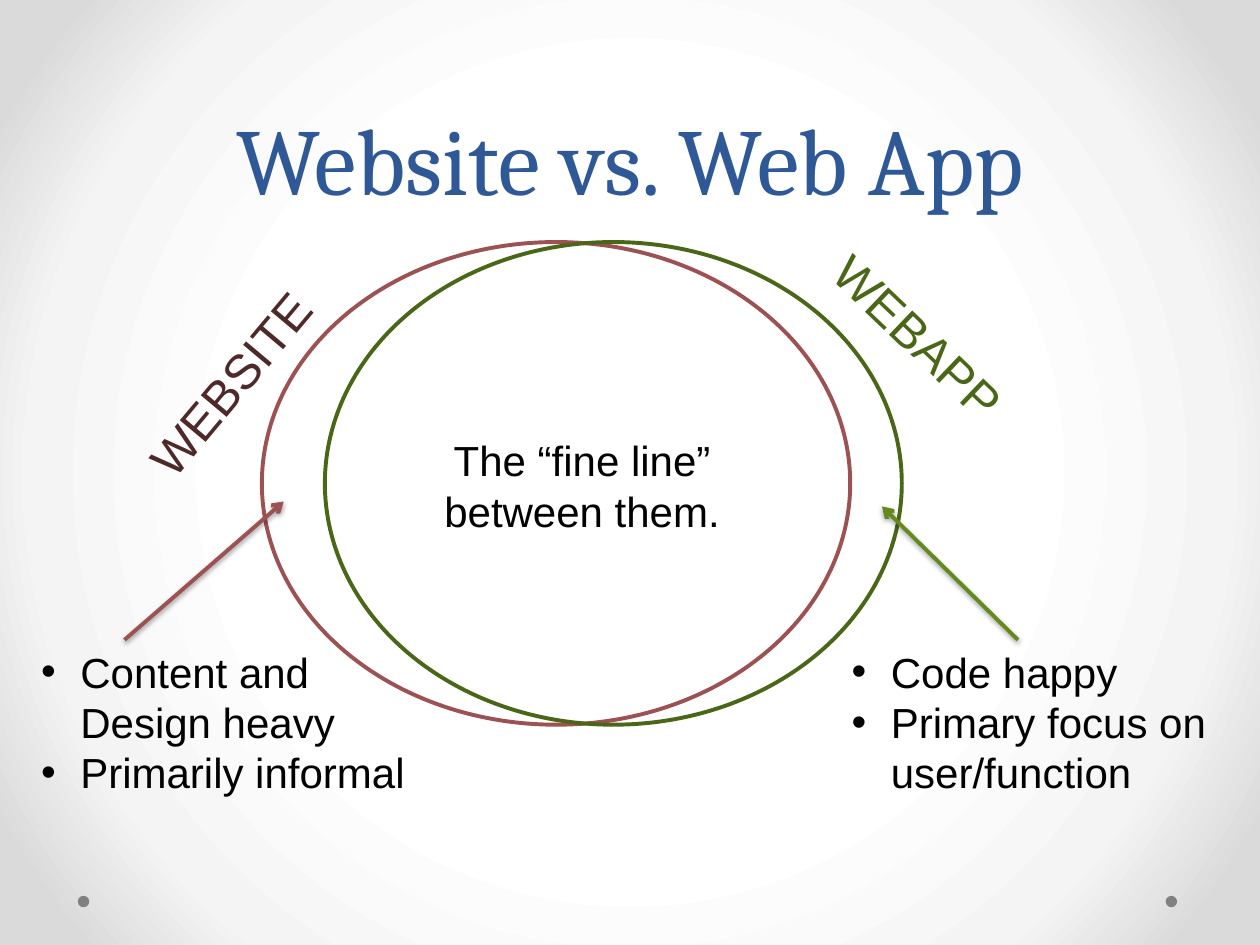
from pptx import Presentation
from pptx import util as u
from pptx.dml import color
from pptx.enum import shapes, text
from pptx.oxml import parse_xml
from pptx.oxml.ns import nsdecls, qn

BLACK = "000000"
ROSE, DARK_ROSE = "9C5252", "4E2929"
GREEN, DARK_GREEN = "63891F", "4A6717"


def rgb(value):
    return color.RGBColor.from_string(value)


def cm(*values):
    return [u.Cm(v) for v in values]


def add_text(s, box, paragraphs, size, ink, font="Arial", align=None,
             anchor=text.MSO_ANCHOR.TOP, bullets=False):
    sp = s.shapes.add_textbox(*cm(*box))
    tf = sp.text_frame
    tf.word_wrap = True
    tf.vertical_anchor = anchor
    for i, words in enumerate(paragraphs):
        p = tf.paragraphs[0] if i == 0 else tf.add_paragraph()
        p.alignment = align
        r = p.add_run()
        r.text = words
        r.font.size = u.Pt(size)
        r.font.name = font
        r.font.color.rgb = rgb(ink)
        if bullets:
            pPr = p._p.get_or_add_pPr()
            pPr.set("marL", str(u.Cm(0.79)))
            pPr.set("indent", str(-u.Cm(0.79)))
            pPr.append(parse_xml(f'<a:buFont {nsdecls("a")} typeface="Arial"/>'))
            pPr.append(parse_xml(f'<a:buChar {nsdecls("a")} char="•"/>'))
    return sp


def add_ellipse(s, box, fill=None, line=None):
    sp = s.shapes.add_shape(shapes.MSO_SHAPE.OVAL, *cm(*box))
    sp.shadow.inherit = False
    if fill:
        sp.fill.solid()
        sp.fill.fore_color.rgb = rgb(fill)
    else:
        sp.fill.background()
    if line:
        sp.line.color.rgb = rgb(line)
        sp.line.width = u.Pt(2.25)
    else:
        sp.line.fill.background()
    return sp


def add_arrow(s, start, end, ink):
    line = s.shapes.add_connector(shapes.MSO_CONNECTOR.STRAIGHT, *cm(*start, *end))
    line.line.color.rgb = rgb(ink)
    line.line.width = u.Pt(2.25)
    line.line._get_or_add_ln().append(
        parse_xml(f'<a:tailEnd {nsdecls("a")} type="arrow"/>'))
    line._element.spPr.append(parse_xml(
        f'<a:effectLst {nsdecls("a")}>'
        f'<a:outerShdw blurRad="{u.Pt(3.1)}" dist="{u.Pt(1.6)}" dir="5400000" rotWithShape="0">'
        '<a:srgbClr val="000000"><a:alpha val="38000"/></a:srgbClr>'
        '</a:outerShdw></a:effectLst>'))


def add_background(s):
    stops = "".join(
        f'<a:gs pos="{pos * 1000}"><a:srgbClr val="{ink}"/></a:gs>'
        for pos, ink in ((50, "FFFFFF"), (76, "F4F4F4"), (92, "DADADA")))
    s.background.fill.gradient()
    old = s.element.find(".//" + qn("a:gradFill"))
    old.getparent().replace(old, parse_xml(
        f'<a:gradFill {nsdecls("a")} rotWithShape="1"><a:gsLst>{stops}</a:gsLst>'
        '<a:path path="circle"><a:fillToRect l="50000" t="50000" r="50000" b="50000"/>'
        '</a:path></a:gradFill>'))
    # Footer dots
    for x in (23.5, 1.57):
        add_ellipse(s, (x, 18.06, 0.23, 0.23), fill="808080")


def add_title(s, box):
    sp = add_text(s, box, ["Website vs. Web App"], 54, "2F5897", "Cambria",
                  text.PP_ALIGN.CENTER, text.MSO_ANCHOR.BOTTOM)
    sp.text_frame.paragraphs[0].line_spacing = u.Pt(58)


def add_venn(s, box):
    x, y, w, h = box
    add_ellipse(s, (x, y, 11.86, h), fill="FFFFFF", line=ROSE)
    add_ellipse(s, (x + 1.27, y, w - 1.27, h), line=DARK_GREEN)
    # Shared area
    add_text(s, (x + 3.18, y + 3.76, 6.55, 2.31), ["The “fine line” between them."],
             24, BLACK, align=text.PP_ALIGN.CENTER)


def add_side(s, box, label, label_at, angle, label_ink, points, start, end, arrow_ink):
    x, y, w, h = box
    list_top = y + 8.02
    # Slanted label
    sp = add_text(s, (x + label_at[0], y + label_at[1], 5.28, 1.45), [label], 28, label_ink)
    sp.rotation = angle
    # Traits and their arrow into the ellipse
    add_text(s, (x, list_top, w, h - 8.02), points, 24, BLACK, bullets=True)
    add_arrow(s, (x + start, list_top), (x + end[0], y + end[1]), arrow_ink)


def main():
    prs = Presentation()
    prs.slide_width, prs.slide_height = cm(25.4, 19.05)
    s = prs.slides.add_slide(prs.slide_layouts[6])
    add_background(s)
    add_title(s, (1.27, 0, 22.86, 4.45))
    add_venn(s, (5.28, 4.88, 12.9, 9.73))
    add_side(s, (0.58, 4.88, 8.46, 11.35), "WEBSITE", (1.53, 2), 310, DARK_ROSE,
             ["Content and Design heavy", "Primarily informal"],
             1.93, (5.14, 5.23), ROSE)
    add_side(s, (16.92, 4.88, 8.46, 11.35), "WEBAPP", (-0.84, 1.37), 43.7, DARK_GREEN,
             ["Code happy", "Primary focus on user/function"],
             3.6, (0.86, 5.33), GREEN)
    prs.save("out.pptx")


if __name__ == "__main__":
    main()
